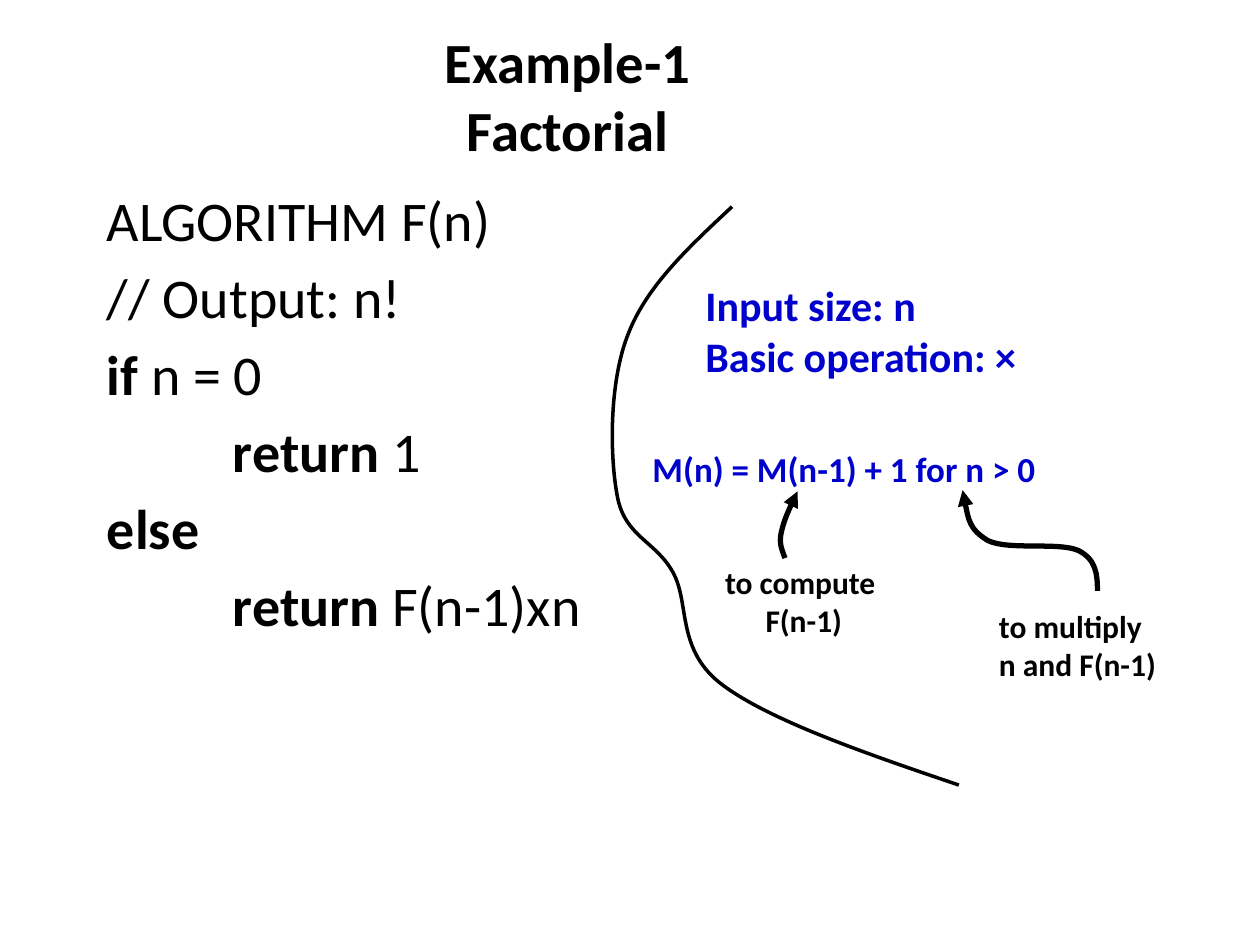
from dataclasses import dataclass

from lxml.etree import SubElement
from pptx import Presentation
from pptx.dml.color import RGBColor
from pptx.enum.text import MSO_ANCHOR, MSO_AUTO_SIZE, PP_ALIGN
from pptx.oxml.ns import qn
from pptx.util import Emu, Inches, Pt

PX = 9144  # EMU per px, 100 px to the inch
BLACK = RGBColor(0x00, 0x00, 0x00)
BLUE = RGBColor(0x00, 0x00, 0xCC)
FONT = "Calibri"

Run = tuple[str, bool]  # text, bold
Point = tuple[int, int]


@dataclass
class TextBlock:
    box: tuple[int, int, int, int]
    lines: list[list[Run]]
    size: float
    color: RGBColor = BLACK
    align: PP_ALIGN = PP_ALIGN.LEFT
    anchor: MSO_ANCHOR = MSO_ANCHOR.TOP
    wrap: bool = False
    gap: float = 0
    tab: int = 0


@dataclass
class Curve:
    """A chain of cubic Béziers: the start, then three points a segment."""
    points: list[Point]
    width: float
    arrow: bool = False


def bold_lines(*lines: str) -> list[list[Run]]:
    return [[(line, True)] for line in lines]


TEXTS = [
    TextBlock((75, 17, 751, 117), bold_lines("Example-1\vFactorial"), 32.4,
              align=PP_ALIGN.CENTER, anchor=MSO_ANCHOR.MIDDLE, wrap=True),
    TextBlock((75, 142, 842, 458), [
        [("ALGORITHM F(n)", False)],
        [("// Output: n!", False)],
        [("if", True), (" n = 0", False)],
        [("\t", False), ("return", True), (" 1", False)],
        [("else", True)],
        [("\t", False), ("return", True), (" F(n-1)xn", False)],
    ], 32, wrap=True, gap=5.6, tab=100),
    TextBlock((550, 217, 318, 91),
              bold_lines("Input size: n", "Basic operation: ×"), 24, BLUE),
    TextBlock((508, 350, 415, 44),
              bold_lines("M(n) = M(n-1) + 1 for n > 0"), 20, BLUE),
    TextBlock((555, 442, 166, 71), bold_lines("to compute ", "F(n-1)"), 18,
              align=PP_ALIGN.CENTER),
    TextBlock((783, 477, 175, 71),
              bold_lines("to multiply", "n and F(n-1)"), 18),
]

CURVES = [
    Curve([(623, 443), (621, 437), (618, 432), (620, 423),
           (622, 414), (627, 402), (633, 390)], 3, arrow=True),
    Curve([(871, 469), (871, 456), (870, 444), (856, 437),
           (841, 430), (800, 437), (784, 429),
           (769, 420), (767, 405), (764, 389)], 3, arrow=True),
    Curve([(581, 164), (548, 195), (514, 226), (499, 264),
           (483, 303), (484, 363), (490, 394),
           (496, 426), (520, 429), (534, 454),
           (548, 479), (536, 516), (574, 544),
           (612, 572), (687, 598), (761, 623)], 2),
]


def add_text(s, block: TextBlock) -> None:
    sp = s.shapes.add_textbox(*(Emu(v * PX) for v in block.box))
    tf = sp.text_frame
    frame_format = {
        "word_wrap": block.wrap,
        "vertical_anchor": block.anchor,
        "auto_size": MSO_AUTO_SIZE.NONE if block.wrap
        else MSO_AUTO_SIZE.SHAPE_TO_FIT_TEXT,
    }
    for name, value in frame_format.items():
        setattr(tf, name, value)
    for i, line in enumerate(block.lines):
        p = tf.add_paragraph() if i else tf.paragraphs[0]
        p.alignment = block.align
        if block.tab:
            tabs = SubElement(p._p.get_or_add_pPr(), qn("a:tabLst"))
            SubElement(tabs, qn("a:tab"), pos=str(block.tab * PX), algn="l")
        if i and block.gap:
            p.space_before = Pt(block.gap)
        for text, bold in line:
            add_run(p, text, bold, block)


def add_run(p, text: str, bold: bool, block: TextBlock) -> None:
    font_format = {"name": FONT, "size": Pt(block.size), "bold": bold}
    for i, part in enumerate(text.split("\v")):
        if i:
            p.add_line_break()
        r = p.add_run()
        r.text = part
        r.font.color.rgb = block.color
        for name, value in font_format.items():
            setattr(r.font, name, value)


def add_curve(s, curve: Curve) -> None:
    start, *rest = curve.points
    builder = s.shapes.build_freeform(*start, scale=PX)
    builder.add_line_segments(rest, close=False)
    sp = builder.convert_to_shape()
    sp.shadow.inherit = False
    sp.fill.background()
    sp.line.color.rgb = BLACK
    sp.line.width = Pt(curve.width)
    bend_segments(sp)
    if curve.arrow:
        ln = sp.line._get_or_add_ln()
        SubElement(ln, qn("a:tailEnd"), type="triangle")


def bend_segments(sp) -> None:
    """Turn every three straight segments into one cubic Bézier."""
    path = next(sp._element.iter(qn("a:path")))
    path.set("fill", "none")
    segments = path.findall(qn("a:lnTo"))
    for i in range(0, len(segments), 3):
        bezier = SubElement(path, qn("a:cubicBezTo"))
        for segment in segments[i:i + 3]:
            bezier.append(segment[0])
            path.remove(segment)


def main() -> None:
    prs = Presentation()
    prs.slide_width, prs.slide_height = Inches(10), Inches(7.5)
    s = prs.slides.add_slide(prs.slide_layouts[6])
    for block in TEXTS:
        add_text(s, block)
    for curve in CURVES:
        add_curve(s, curve)
    prs.save("out.pptx")


if __name__ == "__main__":
    main()
